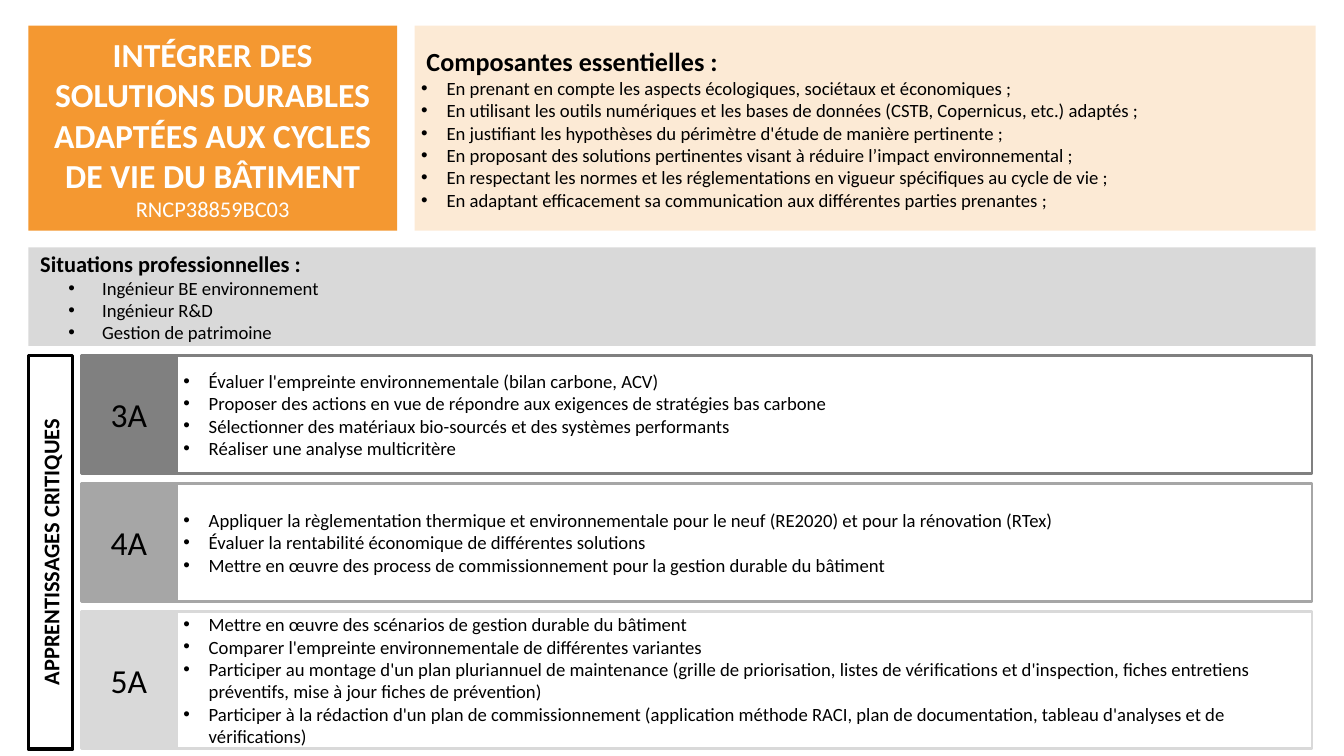
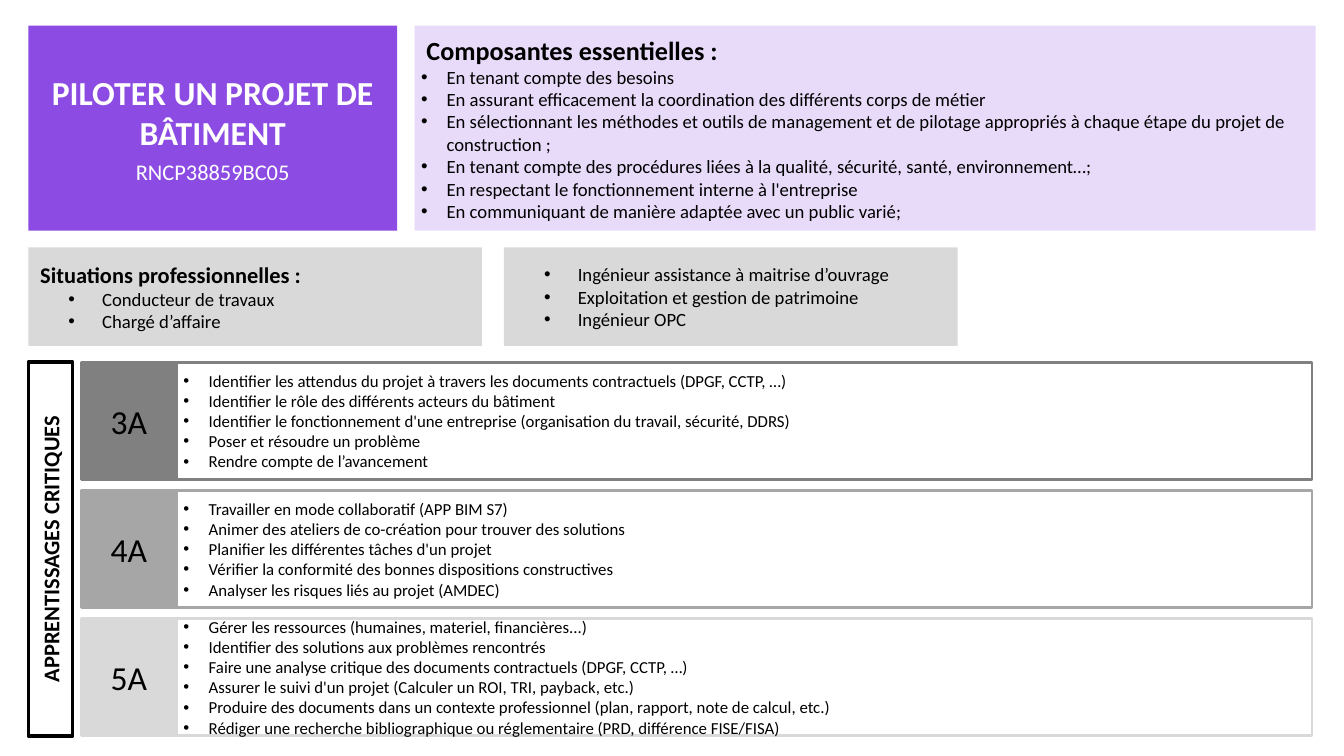
from dataclasses import dataclass

from lxml.etree import SubElement
from pptx import Presentation
from pptx.dml.color import RGBColor
from pptx.enum.shapes import MSO_SHAPE as Shape
from pptx.enum.text import MSO_ANCHOR as Anchor, PP_ALIGN as Align
from pptx.oxml.ns import qn
from pptx.util import Cm, Pt


# Colours and type sizes
@dataclass(frozen=True)
class Theme:
    font: str = "Calibri"
    black: str = "000000"
    white: str = "FFFFFF"
    situation: str = "D9D9D9"
    years: tuple = ("808080", "A6A6A6", "D9D9D9")
    title: int = 36
    heading: int = 28
    subheading: int = 24
    body: int = 20
    border: float = 3
    label_border: float = 3.75
    tint: int = 20  # opacity of the components panel, in percent


# Layout in centimetres
LEFT, RIGHT = 1.07, 49.73
HEADER_TOP, HEADER_HEIGHT = 0.97, 7.75
TITLE_WIDTH, COMPONENTS_LEFT = 13.94, 15.67
SITUATION_TOP, SITUATION_HEIGHT = 9.35, 3.73
SITUATION_GAP = 0.83
LABEL_WIDTH = 1.68
YEAR_LEFT, YEAR_WIDTH, ACTIONS_RIGHT = 3.07, 3.61, 49.59
YEAR_HEIGHT, YEAR_GAP = 4.45, 0.39
HEADING_INDENT = 0.2
BULLET_INDENT = 0.96
DEEP_MARGIN, DEEP_INDENT = 2.54, 1.27


class SkillSheet:
    """Holds the theme and the current slide, and draws each kind of element."""

    def __init__(self, presentation, theme):
        self.presentation = presentation
        self.theme = theme
        self.slide = None

    def new_slide(self):
        self.slide = self.presentation.slides.add_slide(
            self.presentation.slide_layouts[6])

    def box(self, left, top, width, height, fill, line=None, opacity=None,
            border=None):
        shape = self.slide.shapes.add_shape(
            Shape.RECTANGLE, Cm(left), Cm(top), Cm(width), Cm(height))
        shape.shadow.inherit = False
        shape.fill.solid()
        shape.fill.fore_color.rgb = RGBColor.from_string(fill)
        if opacity:
            color = shape._element.spPr.find(qn("a:solidFill"))[0]
            SubElement(color, qn("a:alpha"), val=str(opacity * 1000))
        if line:
            shape.line.color.rgb = RGBColor.from_string(line)
            shape.line.width = Pt(border or self.theme.border)
        else:
            shape.line.fill.background()
        shape.text_frame.word_wrap = True
        shape.text_frame.vertical_anchor = Anchor.MIDDLE
        return shape

    def add_text(self, shape, text, size, bold=False, color=None,
                 align=Align.LEFT, margin=0, bullet_indent=0, level=0, after=0):
        frame = shape.text_frame
        paragraph = frame.paragraphs[0]
        if paragraph.text:
            paragraph = frame.add_paragraph()
        paragraph.text = text
        paragraph.level = level
        paragraph.alignment = align
        paragraph.space_after = Pt(after)
        properties = paragraph._p.get_or_add_pPr()
        properties.set("marL", str(Cm(margin)))
        properties.set("indent", str(-Cm(bullet_indent)))
        if bullet_indent:
            SubElement(properties, qn("a:buFont"), typeface="Arial")
            SubElement(properties, qn("a:buChar"), char="•")
        font = paragraph.font
        font.name = self.theme.font
        font.size = Pt(size)
        font.bold = bold
        font.color.rgb = RGBColor.from_string(color or self.theme.black)

    def bullets(self, shape, items, size):
        for item in items:
            self.add_text(shape, item, size, margin=BULLET_INDENT,
                          bullet_indent=BULLET_INDENT)

    def title(self, text, code, accent, gap):
        shape = self.box(LEFT, HEADER_TOP, TITLE_WIDTH, HEADER_HEIGHT, accent)
        self.add_text(shape, text, self.theme.title, True, self.theme.white,
                      Align.CENTER, after=gap)
        self.add_text(shape, code, self.theme.subheading, False,
                      self.theme.white, Align.CENTER, after=6)

    def components(self, items, accent):
        shape = self.box(COMPONENTS_LEFT, HEADER_TOP, RIGHT - COMPONENTS_LEFT,
                         HEADER_HEIGHT, accent, opacity=self.theme.tint)
        self.add_text(shape, "Composantes essentielles :", self.theme.heading,
                      True, margin=HEADING_INDENT)
        self.bullets(shape, items, self.theme.body)

    def situations(self, columns, width):
        for index, items in enumerate(columns):
            shape = self.box(LEFT + index * (width + SITUATION_GAP),
                             SITUATION_TOP, width, SITUATION_HEIGHT,
                             self.theme.situation)
            if index == 0:
                self.add_text(shape, "Situations professionnelles :",
                              self.theme.subheading, True,
                              margin=HEADING_INDENT)
            for item in items:
                self.add_text(shape, item, self.theme.body, margin=DEEP_MARGIN,
                              bullet_indent=DEEP_INDENT, level=1)

    def side_label(self, top, height):
        # Built lying down around its centre, then turned upright
        shape = self.box(LEFT + (LABEL_WIDTH - height) / 2,
                         top + (height - LABEL_WIDTH) / 2, height, LABEL_WIDTH,
                         self.theme.white, self.theme.black,
                         border=self.theme.label_border)
        shape.rotation = 270
        self.add_text(shape, "APPRENTISSAGES CRITIQUES",
                      self.theme.subheading, True, align=Align.CENTER)

    def learning(self, years, top, last_height, size):
        heights = [YEAR_HEIGHT] * (len(years) - 1) + [last_height]
        self.side_label(top, sum(heights) + YEAR_GAP * (len(years) - 1))
        actions_left = YEAR_LEFT + YEAR_WIDTH
        for (year, actions), height, color in zip(
                years.items(), heights, self.theme.years):
            panel = self.box(actions_left, top, ACTIONS_RIGHT - actions_left,
                             height, self.theme.white, color)
            self.bullets(panel, actions, size)
            badge = self.box(YEAR_LEFT, top, YEAR_WIDTH, height, color, color)
            self.add_text(badge, year, self.theme.title, align=Align.CENTER)
            top += height + YEAR_GAP


# Content of the two skills
SKILLS = [
    dict(
        title="INTÉGRER DES SOLUTIONS DURABLES ADAPTÉES AUX CYCLES DE VIE DU BÂTIMENT",
        code="RNCP38859BC03", accent="F49831", title_gap=0,
        components=[
            "En prenant en compte les aspects écologiques, sociétaux et économiques ;",
            "En utilisant les outils numériques et les bases de données (CSTB, Copernicus, etc.) adaptés ;",
            "En justifiant les hypothèses du périmètre d'étude de manière pertinente ;",
            "En proposant des solutions pertinentes visant à réduire l’impact environnemental ;",
            "En respectant les normes et les réglementations en vigueur spécifiques au cycle de vie ;",
            "En adaptant efficacement sa communication aux différentes parties prenantes ;",
        ],
        situations=[["Ingénieur BE environnement", "Ingénieur R&D",
                     "Gestion de patrimoine"]],
        situation_width=RIGHT - LEFT,
        years_top=13.44, last_height=5.19, action_size=20,
        years={
            "3A": [
                "Évaluer l'empreinte environnementale (bilan carbone, ACV)",
                "Proposer des actions en vue de répondre aux exigences de stratégies bas carbone",
                "Sélectionner des matériaux bio-sourcés et des systèmes performants",
                "Réaliser une analyse multicritère",
            ],
            "4A": [
                "Appliquer la règlementation thermique et environnementale pour le neuf (RE2020) et pour la rénovation (RTex)",
                "Évaluer la rentabilité économique de différentes solutions",
                "Mettre en œuvre des process de commissionnement pour la gestion durable du bâtiment",
            ],
            "5A": [
                "Mettre en œuvre des scénarios de gestion durable du bâtiment",
                "Comparer l'empreinte environnementale de différentes variantes",
                "Participer au montage d'un plan pluriannuel de maintenance (grille de priorisation, listes de "
                "vérifications et d'inspection, fiches entretiens préventifs, mise à jour fiches de prévention)",
                "Participer à la rédaction d'un plan de commissionnement (application méthode RACI, plan de "
                "documentation, tableau d'analyses et de vérifications)",
            ],
        },
    ),
    dict(
        title="PILOTER UN PROJET DE BÂTIMENT",
        code="RNCP38859BC05", accent="8C4BE2", title_gap=6,
        components=[
            "En tenant compte des besoins",
            "En assurant efficacement la coordination des différents corps de métier",
            "En sélectionnant les méthodes et outils de management et de pilotage appropriés à chaque étape "
            "du projet de construction ;",
            "En tenant compte des procédures liées à la qualité, sécurité, santé, environnement…;",
            "En respectant le fonctionnement interne à l'entreprise",
            "En communiquant de manière adaptée avec un public varié;",
        ],
        situations=[["Conducteur de travaux", "Chargé d’affaire"],
                    ["Ingénieur assistance à maitrise d’ouvrage",
                     "Exploitation et gestion de patrimoine",
                     "Ingénieur OPC"]],
        situation_width=17.15,
        years_top=13.69, last_height=YEAR_HEIGHT, action_size=18,
        years={
            "3A": [
                "Identifier les attendus du projet à travers les documents contractuels (DPGF, CCTP, …)",
                "Identifier le rôle des différents acteurs du bâtiment",
                "Identifier le fonctionnement d'une entreprise (organisation du travail, sécurité, DDRS)",
                "Poser et résoudre un problème",
                "Rendre compte de l’avancement",
            ],
            "4A": [
                "Travailler en mode collaboratif (APP BIM S7)",
                "Animer des ateliers de co-création pour trouver des solutions",
                "Planifier les différentes tâches d'un projet",
                "Vérifier la conformité des bonnes dispositions constructives",
                "Analyser les risques liés au projet (AMDEC)",
            ],
            "5A": [
                "Gérer les ressources (humaines, materiel, financières...)",
                "Identifier des solutions aux problèmes rencontrés",
                "Faire une analyse critique des documents contractuels (DPGF, CCTP, …)",
                "Assurer le suivi d'un projet (Calculer un ROI, TRI, payback, etc.)",
                "Produire des documents dans un contexte professionnel (plan, rapport, note de calcul, etc.)",
                "Rédiger une recherche bibliographique ou réglementaire (PRD, différence FISE/FISA)",
            ],
        },
    ),
]


def main():
    presentation = Presentation()
    presentation.slide_width = Cm(50.8)
    presentation.slide_height = Cm(28.58)
    sheet = SkillSheet(presentation, Theme())
    for skill in SKILLS:
        sheet.new_slide()
        sheet.title(skill["title"], skill["code"], skill["accent"],
                    skill["title_gap"])
        sheet.components(skill["components"], skill["accent"])
        sheet.situations(skill["situations"], skill["situation_width"])
        sheet.learning(skill["years"], skill["years_top"],
                       skill["last_height"], skill["action_size"])
    presentation.save("out.pptx")


if __name__ == "__main__":
    main()
